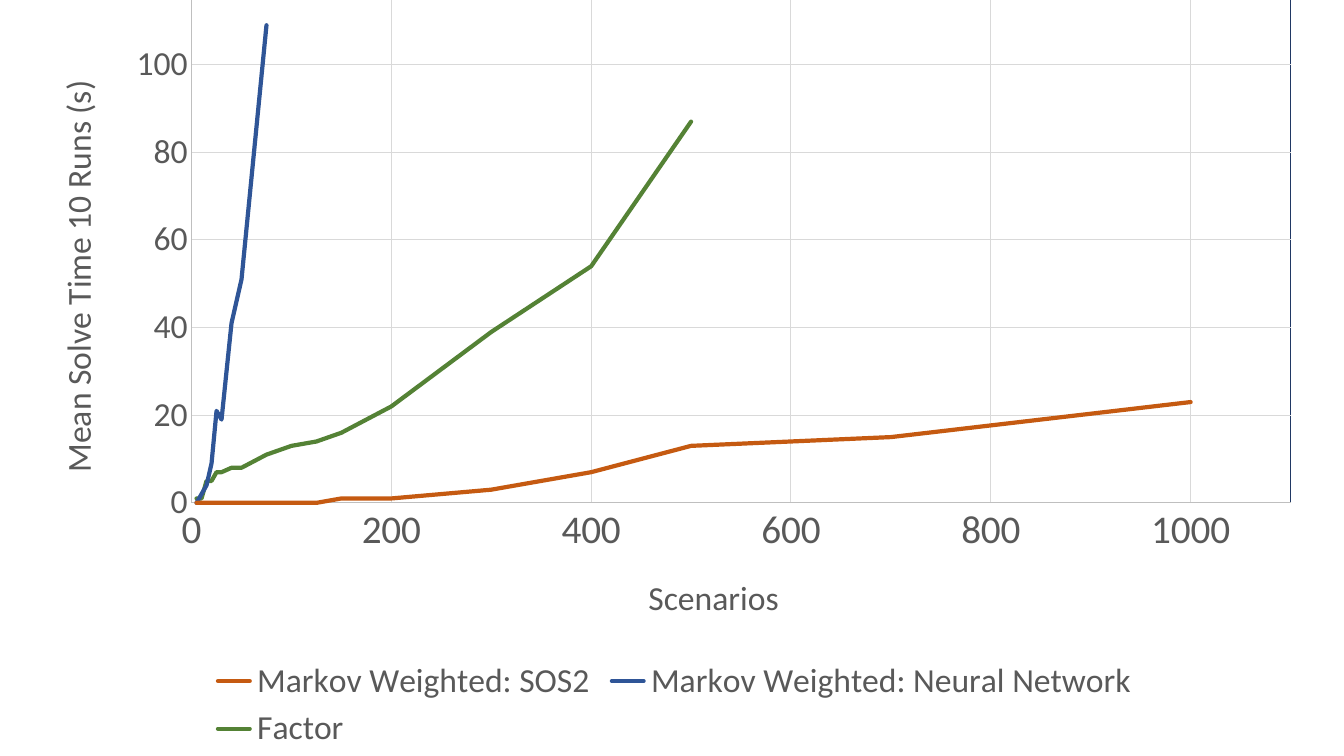
from pptx import Presentation
from pptx import util as u
from pptx.chart.data import XyChartData
from pptx.dml.color import RGBColor
from pptx.enum import chart as ch
from pptx.oxml import parse_xml
from pptx.oxml.ns import nsdecls, qn

COLORS = {"text": "595959", "axis": "BFBFBF", "grid": "D9D9D9", "border": "203864"}
FONT = "Calibri"
SCENARIOS = [5, 10, 15, 20, 25, 30, 40, 50, 75, 100, 125, 150,
             200, 300, 400, 500, 700, 1000]
SOLVE_TIMES = {
    "Markov Weighted: SOS2": ("C55A11", [
        0, 0, 0, 0, 0, 0, 0, 0, 0, 0, 0, 1, 1, 3, 7, 13, 15, 23]),
    "Markov Weighted: Neural Network": ("2F5597", [
        0, 2, 4, 9, 21, 19, 41, 51, 109]),
    "Factor": ("548235", [
        1, 1, 5, 5, 7, 7, 8, 8, 11, 13, 14, 16, 22, 39, 54, 87]),
}
# Boxes and corners in inches on the slide
CHART_BOX = (0.32, -0.16, 12.74, 7.66)
PLOT_BOX = (1.9, -0.01, 10.9, 5)
AXES = {
    "category_axis": dict(title="Scenarios", corner=(6.37, 5.64), size=28,
                          scale=dict(minimum_scale=0, maximum_scale=1100, major_unit=200)),
    "value_axis": dict(title="Mean Solve Time 10 Runs (s)", corner=(0.49, 0.74), size=24,
                       scale=dict(minimum_scale=0, maximum_scale=115, major_unit=20)),
}


def set_attributes(target, values):
    for name, value in values.items():
        setattr(target, name, value)


def style_font(font, size):
    set_attributes(font, dict(name=FONT, size=u.Pt(size), bold=False))
    font.color.rgb = RGBColor.from_string(COLORS["text"])


def style_line(line, color, width):
    line.color.rgb = RGBColor.from_string(color)
    line.width = u.Pt(width)


def layout_for(box, inner=False):
    """Manual chart layout for a slide box (x, y) or (x, y, w, h)."""
    left, top, width, height = CHART_BOX
    shares = [(box[0] - left) / width, (box[1] - top) / height]
    shares += [length / whole for length, whole in zip(box[2:], (width, height))]
    target = '<c:layoutTarget val="inner"/>' if inner else ""
    modes = '<c:xMode val="edge"/><c:yMode val="edge"/>'
    values = "".join(f'<c:{key} val="{share:.4f}"/>' for key, share in zip("xywh", shares))
    return parse_xml(f'<c:layout {nsdecls("c")}><c:manualLayout>{target}{modes}{values}'
                     '</c:manualLayout></c:layout>')


def replace_layout(parent, layout, position):
    for old in parent.findall(qn("c:layout")):
        parent.remove(old)
    parent.insert(position, layout)


def format_axis(axis, title, corner, size, scale):
    set_attributes(axis, dict(
        scale, has_major_gridlines=True, has_title=True,
        major_tick_mark=ch.XL_TICK_MARK.NONE, minor_tick_mark=ch.XL_TICK_MARK.NONE))
    style_line(axis.format.line, COLORS["axis"], 0.75)
    style_line(axis.major_gridlines.format.line, COLORS["grid"], 0.75)
    style_font(axis.tick_labels.font, size)
    set_attributes(axis.tick_labels, dict(number_format="General", number_format_is_linked=False))
    frame = axis.axis_title.text_frame
    frame.text = title
    style_font(frame.paragraphs[0].runs[0].font, 24)
    replace_layout(frame._txBody.getparent().getparent(), layout_for(corner), 1)


def format_series(series, color):
    series.smooth = False
    series.marker.style = ch.XL_MARKER_STYLE.NONE
    style_line(series.format.line, color, 3)
    outline = series._element.find(qn("c:spPr")).find(qn("a:ln"))
    outline.set("cap", "rnd")
    outline.append(parse_xml(f'<a:round {nsdecls("a")}/>'))


def format_plot_area(chart, box):
    area = chart._chartSpace.chart.plotArea
    replace_layout(area, layout_for(box, inner=True), 0)
    area.append(parse_xml(
        f'<c:spPr {nsdecls("c", "a")}><a:noFill/><a:ln w="9525"><a:solidFill>'
        f'<a:srgbClr val="{COLORS["border"]}"/></a:solidFill></a:ln></c:spPr>'))


def add_solve_time_chart(slide, box):
    data = XyChartData()
    for name, (_, times) in SOLVE_TIMES.items():
        series = data.add_series(name)
        for scenarios, seconds in zip(SCENARIOS, times):
            series.add_data_point(scenarios, seconds)
    chart = slide.shapes.add_chart(ch.XL_CHART_TYPE.XY_SCATTER_LINES_NO_MARKERS,
                                   *map(u.Inches, box), data).chart
    set_attributes(chart, dict(has_title=False, has_legend=True))
    style_font(chart.font, 10)
    set_attributes(chart.legend, dict(position=ch.XL_LEGEND_POSITION.BOTTOM,
                                      include_in_layout=False))
    style_font(chart.legend.font, 24)
    chart.plots[0].vary_by_categories = False
    for series, (color, _) in zip(chart.plots[0].series, SOLVE_TIMES.values()):
        format_series(series, color)
    for axis_name, options in AXES.items():
        format_axis(getattr(chart, axis_name), **options)
    format_plot_area(chart, PLOT_BOX)


def main():
    deck = Presentation()
    set_attributes(deck, dict(slide_width=u.Inches(13.33), slide_height=u.Inches(7.5)))
    slide = deck.slides.add_slide(deck.slide_layouts[6])
    add_solve_time_chart(slide, CHART_BOX)
    deck.save("out.pptx")


if __name__ == "__main__":
    main()
